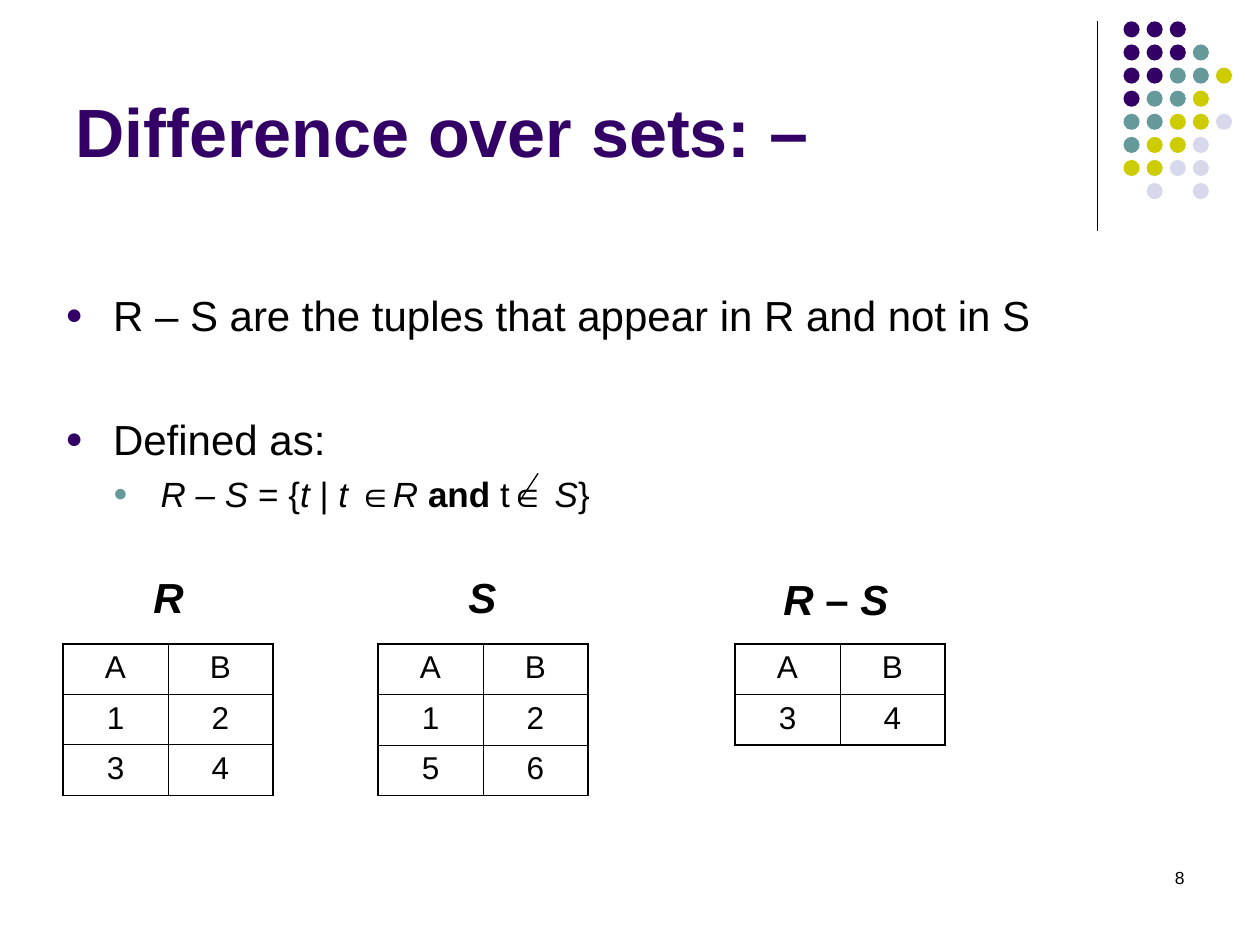
from dataclasses import dataclass

import pptx
import pptx.dml.color
import pptx.enum.shapes
import pptx.enum.text
import pptx.oxml
import pptx.oxml.ns
import pptx.util
from lxml import etree

Pt = pptx.util.Pt
FONT = "Arial"
COLORS = {
    "purple": "330066",
    "teal": "669999",
    "lime": "CCCC00",
    "lavender": "D8D8EC",
    "black": "000000",
}

DOT_COLORS = {"P": "purple", "T": "teal", "Y": "lime", "L": "lavender"}
DOT_ROWS = ["PPP", "PPPT", "PPTTY", "PTTY", "TTYYL", "TYYL", "YYLL", " L L"]
DOT_LEFT, DOT_TOP, DOT_PITCH, DOT_SIZE = 642, 12.2, 13.2, 9.2

COLUMN_WIDTH, ROW_HEIGHT, TABLE_TOP = 60, 28.8, 368
OUTER_BORDER, INNER_BORDER = 1.08, 0.45


@dataclass
class Span:
    text: str
    size: float
    bold: bool = False
    italic: bool = False
    color: str = "black"


@dataclass
class BulletItem:
    spans: list[Span]
    level: int
    bullet_color: str
    space_before: float


@dataclass
class Relation:
    """A table of tuples with its name above it."""
    name: list[Span]
    name_left: float
    name_top: float
    name_width: float
    left: float
    rows: list[str]
    bottom_border: float = OUTER_BORDER


def label(text: str, italic: bool = True) -> Span:
    return Span(text, 24, bold=True, italic=italic)


def formula(text: str, italic: bool = False, bold: bool = False) -> Span:
    return Span(text, 20, bold, italic)


TITLE = [Span("Difference over sets: ", 39, True, color="purple"),
         Span("–", 40, True, color="purple")]

BULLETS = [
    BulletItem([Span("R – S are the tuples that appear in R and not in S", 24)],
               0, "purple", 0),
    BulletItem([Span("Defined as:", 24)], 0, "purple", 42),
    BulletItem([
        formula("R – S ", italic=True), formula("= {"),
        formula("t ", italic=True), formula("| "),
        formula("t ", italic=True), formula("∈"),
        formula("R ", italic=True), formula("and ", bold=True),
        formula("t∈ "), formula("S", italic=True), formula("}"),
    ], 1, "teal", 5),
]

RELATIONS = [
    Relation([label("R")], 80.6, 323.3, 31.7, 36, ["AB", "12", "34"], INNER_BORDER),
    Relation([label("S")], 260.6, 323.3, 30.2, 216, ["AB", "12", "56"]),
    Relation([label("R "), label("– ", italic=False), label("S")],
             440.6, 324, 74.2, 420, ["AB", "34"]),
]


def rgb(name: str) -> pptx.dml.color.RGBColor:
    return pptx.dml.color.RGBColor.from_string(COLORS[name])


def add_spans(paragraph, spans: list[Span]) -> None:
    for span in spans:
        run = paragraph.add_run()
        run.text = span.text
        run.font.name = FONT
        run.font.size = Pt(span.size)
        run.font.bold = span.bold
        run.font.italic = span.italic
        run.font.color.rgb = rgb(span.color)


def place(shape, left: float, top: float, width: float, height: float) -> None:
    shape.left, shape.top = Pt(left), Pt(top)
    shape.width, shape.height = Pt(width), Pt(height)


def add_line(slide, start: tuple[float, float], end: tuple[float, float]) -> None:
    line = slide.shapes.add_connector(
        pptx.enum.shapes.MSO_CONNECTOR.STRAIGHT,
        Pt(start[0]), Pt(start[1]), Pt(end[0]), Pt(end[1]))
    line.line.color.rgb = rgb("black")
    line.line.width = Pt(0.75)
    etree.SubElement(line._element.spPr, pptx.oxml.ns.qn("a:effectLst"))


def add_dots(slide) -> None:
    group = slide.shapes.add_group_shape()
    for row, pattern in enumerate(DOT_ROWS):
        for column, code in enumerate(pattern):
            if code == " ":
                continue
            dot = group.shapes.add_shape(
                pptx.enum.shapes.MSO_SHAPE.OVAL,
                Pt(DOT_LEFT + column * DOT_PITCH), Pt(DOT_TOP + row * DOT_PITCH),
                Pt(DOT_SIZE), Pt(DOT_SIZE))
            dot.shadow.inherit = False
            dot.fill.solid()
            dot.fill.fore_color.rgb = rgb(DOT_COLORS[code])
            dot.line.fill.background()


def add_text(slide, left: float, top: float, width: float, spans: list[Span],
             wrap: bool = False, align=pptx.enum.text.PP_ALIGN.LEFT) -> None:
    box = slide.shapes.add_textbox(Pt(left), Pt(top), Pt(width), Pt(36))
    box.text_frame.word_wrap = wrap
    paragraph = box.text_frame.paragraphs[0]
    paragraph.alignment = align
    add_spans(paragraph, spans)


def set_bullet(paragraph, item: BulletItem) -> None:
    properties = paragraph._p.get_or_add_pPr()
    properties.set("marL", str(Pt(27.2 * (item.level + 1))))
    properties.set("indent", str(Pt(-27.2)))
    namespace = pptx.oxml.ns.nsdecls("a")
    for xml in (
        f'<a:buClr {namespace}><a:srgbClr val="{COLORS[item.bullet_color]}"/></a:buClr>',
        f'<a:buSzPct {namespace} val="70000"/>',
        f'<a:buFont {namespace} typeface="{FONT}"/>',
        f'<a:buChar {namespace} char="●"/>',
    ):
        properties.append(pptx.oxml.parse_xml(xml))


def set_borders(cell, widths: dict[str, float]) -> None:
    """Draw black borders; they come before the fill in the cell properties."""
    properties = cell._tc.get_or_add_tcPr()
    for index, side in enumerate("LRTB"):
        properties.insert(index, pptx.oxml.parse_xml(
            f'<a:ln{side} {pptx.oxml.ns.nsdecls("a")} w="{Pt(widths[side])}">'
            f'<a:solidFill><a:srgbClr val="{COLORS["black"]}"/></a:solidFill></a:ln{side}>'))


def add_relation(slide, relation: Relation) -> None:
    row_count, column_count = len(relation.rows), len(relation.rows[0])
    table = slide.shapes.add_table(
        row_count, column_count, Pt(relation.left), Pt(TABLE_TOP),
        Pt(column_count * COLUMN_WIDTH), Pt(row_count * ROW_HEIGHT)).table
    table.first_row = table.horz_banding = False
    for row, values in enumerate(relation.rows):
        for column, value in enumerate(values):
            cell = table.cell(row, column)
            cell.fill.background()
            paragraph = cell.text_frame.paragraphs[0]
            paragraph.alignment = pptx.enum.text.PP_ALIGN.CENTER
            add_spans(paragraph, [Span(value, 18)])
            set_borders(cell, {
                "L": OUTER_BORDER if column == 0 else INNER_BORDER,
                "R": OUTER_BORDER if column == column_count - 1 else INNER_BORDER,
                "T": OUTER_BORDER if row == 0 else INNER_BORDER,
                "B": relation.bottom_border if row == row_count - 1 else INNER_BORDER,
            })
    add_text(slide, relation.name_left, relation.name_top, relation.name_width,
             relation.name)


def fill_placeholders(slide) -> None:
    title, body = slide.shapes.title, slide.placeholders[1]
    place(title, 36, 9.4, 594, 92)
    title.text_frame.vertical_anchor = pptx.enum.text.MSO_ANCHOR.BOTTOM
    title.text_frame.paragraphs[0].alignment = pptx.enum.text.PP_ALIGN.LEFT
    add_spans(title.text_frame.paragraphs[0], TITLE)

    place(body, 30.2, 120.2, 570.2, 180)
    frame = body.text_frame
    frame.margin_top = Pt(45)
    for shape in (title, body):
        shape.text_frame.auto_size = pptx.enum.text.MSO_AUTO_SIZE.NONE
    for index, item in enumerate(BULLETS):
        paragraph = frame.add_paragraph() if index else frame.paragraphs[0]
        paragraph.level = item.level
        set_bullet(paragraph, item)
        paragraph.space_before = Pt(item.space_before)
        add_spans(paragraph, item.spans)


def main() -> None:
    presentation = pptx.Presentation()
    presentation.slide_width, presentation.slide_height = Pt(720), Pt(540)
    slide = presentation.slides.add_slide(presentation.slide_layouts[1])
    add_line(slide, (627, 12), (627, 132))
    add_dots(slide)
    fill_placeholders(slide)
    for relation in RELATIONS:
        add_relation(slide, relation)
    add_line(slide, (307.5, 270.5), (296.5, 287))
    add_text(slide, 516, 492, 168, [Span("8", 10)], wrap=True,
             align=pptx.enum.text.PP_ALIGN.RIGHT)
    presentation.save("out.pptx")


if __name__ == "__main__":
    main()
